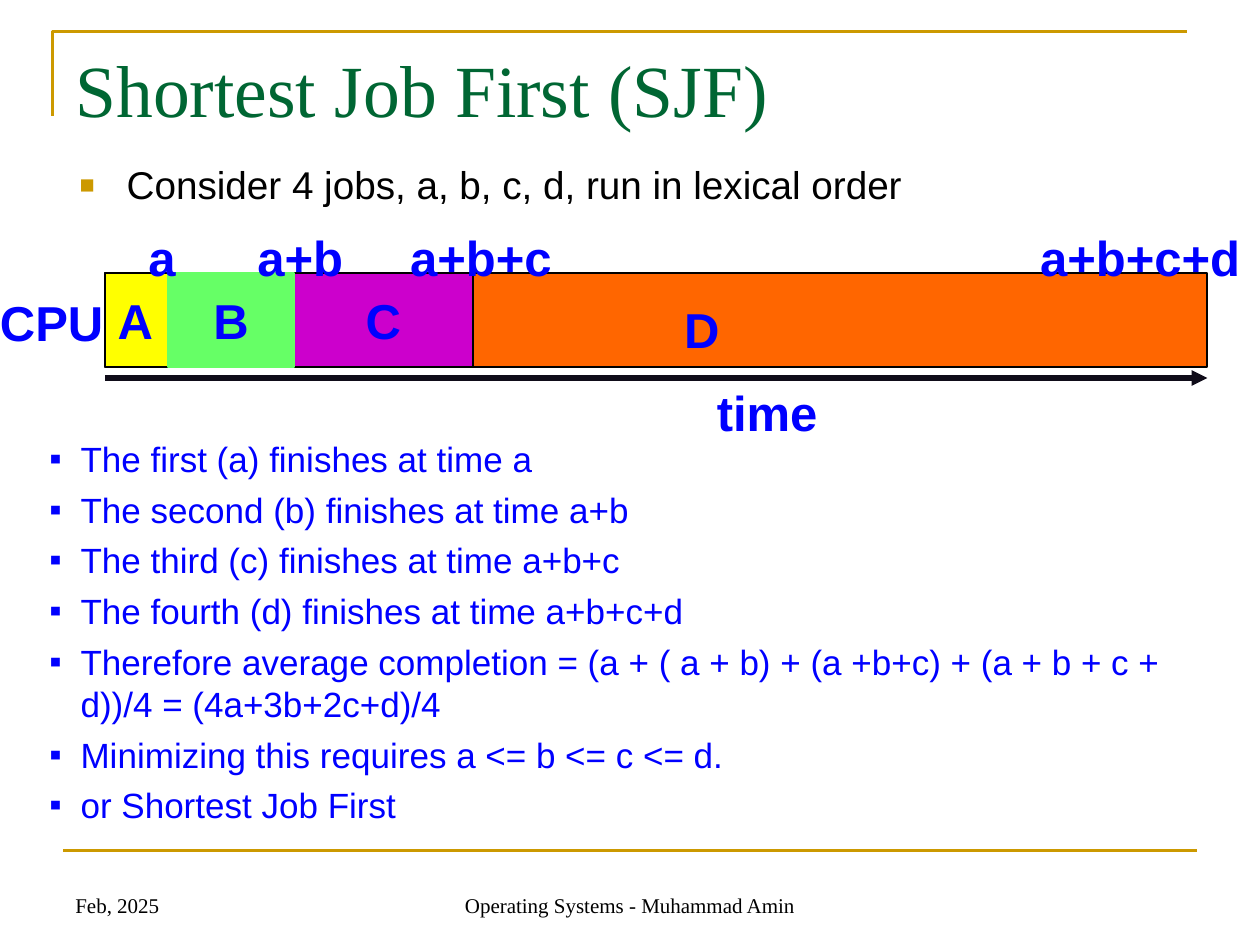
from dataclasses import dataclass

from lxml import etree
from pptx import Presentation
from pptx.dml.color import RGBColor
from pptx.enum.shapes import MSO_CONNECTOR, MSO_SHAPE
from pptx.enum.text import MSO_ANCHOR, MSO_AUTO_SIZE, PP_ALIGN
from pptx.oxml.ns import qn
from pptx.util import Cm, Pt

LEFT, CENTER = PP_ALIGN.LEFT, PP_ALIGN.CENTER
TOP, MIDDLE, BOTTOM = MSO_ANCHOR.TOP, MSO_ANCHOR.MIDDLE, MSO_ANCHOR.BOTTOM
NO_AUTOFIT = MSO_AUTO_SIZE.NONE
RECTANGLE = MSO_SHAPE.RECTANGLE
STRAIGHT = MSO_CONNECTOR.STRAIGHT

BLACK = RGBColor(0x00, 0x00, 0x00)
BLUE = RGBColor(0x00, 0x00, 0xFF)
DARK_GREEN = RGBColor(0x00, 0x66, 0x33)
GOLD = RGBColor(0xCC, 0x99, 0x00)
ORANGE = RGBColor(0xFF, 0x66, 0x00)
YELLOW = RGBColor(0xFF, 0xFF, 0x00)
PURPLE = RGBColor(0xCC, 0x00, 0xCC)
LIGHT_GREEN = RGBColor(0x66, 0xFF, 0x66)
INK = RGBColor(0x0F, 0x0C, 0x19)

SANS, SERIF = "Arial", "Times New Roman"
LABEL = {"size": 28, "color": BLUE, "bold": True}
FOOTER = {"size": 12, "font": SERIF, "anchor": BOTTOM}

BAR_LEFT, BAR_TOP, BAR_WIDTH, BAR_HEIGHT = 2.12, 5.5, 22.22, 1.9
AXIS_Y = 7.62


@dataclass
class Bullet:
    character: str
    color: RGBColor
    margin: float
    hanging: float
    percent: int = 100


@dataclass
class Job:
    left: float
    width: float
    fill: RGBColor
    line: RGBColor = BLACK
    name: str = ""
    align: PP_ALIGN = CENTER


@dataclass
class Label:
    text: str
    left: float
    top: float
    width: float
    height: float
    style: dict


JOBS = [
    Job(BAR_LEFT, BAR_WIDTH, ORANGE),
    Job(BAR_LEFT, 3.81, YELLOW, name="A", align=LEFT),
    Job(5.93, 3.6, PURPLE, name="C"),
    Job(3.39, 2.54, LIGHT_GREEN, LIGHT_GREEN, "B"),
]

LABELS = [
    Label("Feb, 2025", 1.27, 17.36, 5.93, 1.27, FOOTER),
    Label("Operating Systems - Muhammad Amin", 8.68, 17.36, 8.04, 1.27,
          {**FOOTER, "align": CENTER}),
    Label("CPU", -0.25, 5.77, 2.59, 1.45, {**LABEL, "wrap": False}),
    Label("time", 14.2, 7.59, 2.54, 1.45, {**LABEL, "wrap": False}),
    Label("D", 13.54, 5.92, 3.07, 1.45, LABEL),
    Label("a\ta+b\ta+b+c\ta+b+c+d", 2.74, 4.45, 24.18, 1.45,
          {**LABEL, "anchor": MIDDLE, "tabs": (2.2, 5.28, 17.98)}),
]

CONCLUSIONS = [
    "The first (a) finishes at time a",
    "The second (b) finishes at time a+b",
    "The third (c) finishes at time a+b+c",
    "The fourth (d) finishes at time a+b+c+d",
    "Therefore average completion = (a + ( a + b) + (a +b+c) + (a + b + c + d))/4"
    " = (4a+3b+2c+d)/4",
    "Minimizing this requires a <= b <= c <= d.",
    "or Shortest Job First",
]


def add_bullet(properties, bullet: Bullet) -> None:
    properties.set("marL", str(Cm(bullet.margin)))
    properties.set("indent", str(-Cm(bullet.hanging)))
    color = etree.SubElement(properties, qn("a:buClr"))
    etree.SubElement(color, qn("a:srgbClr"), val=str(bullet.color))
    etree.SubElement(properties, qn("a:buSzPct"), val=str(bullet.percent * 1000))
    etree.SubElement(properties, qn("a:buFont"), typeface=SANS)
    etree.SubElement(properties, qn("a:buChar"), char=bullet.character)


def write(shape, *lines: str, size: float, font: str = SANS, color: RGBColor = BLACK,
          bold: bool = False, align: PP_ALIGN = LEFT, anchor: MSO_ANCHOR = TOP,
          wrap: bool = True, level: int = 0, space_before: float = 0,
          bullet: Bullet | None = None, tabs: tuple = ()) -> None:
    frame = shape.text_frame
    frame.word_wrap = wrap
    frame.auto_size = NO_AUTOFIT
    frame.vertical_anchor = anchor
    for index, line in enumerate(lines):
        paragraph = frame.add_paragraph() if index else frame.paragraphs[0]
        paragraph.alignment = align
        paragraph.level = level
        paragraph.space_before = Pt(space_before)
        properties = paragraph._p.get_or_add_pPr()
        if bullet:
            add_bullet(properties, bullet)
        if tabs:
            stops = etree.SubElement(properties, qn("a:tabLst"))
            for position in tabs:
                etree.SubElement(stops, qn("a:tab"), pos=str(Cm(position)), algn="l")
        run = paragraph.add_run()
        run.text = line
        run.font.name = font
        run.font.size = Pt(size)
        run.font.bold = bold
        run.font.color.rgb = color


def place(shape, left: float, top: float, width: float, height: float) -> None:
    shape.left, shape.top = Cm(left), Cm(top)
    shape.width, shape.height = Cm(width), Cm(height)


def add_line(slide, left: float, right: float, y: float, color: RGBColor,
             weight: float, arrow: bool = False) -> None:
    line = slide.shapes.add_connector(STRAIGHT, Cm(left), Cm(y), Cm(right), Cm(y))
    line.line.color.rgb = color
    line.line.width = Pt(weight)
    if arrow:
        etree.SubElement(line.line._get_or_add_ln(), qn("a:tailEnd"), type="triangle")
    etree.SubElement(line._element.spPr, qn("a:effectLst"))


def add_corner(slide) -> None:
    """Draw the gold rule above and to the left of the title."""
    builder = slide.shapes.build_freeform(Cm(1.06), Cm(2.33))
    builder.add_line_segments([(Cm(1.06), Cm(0.64)), (Cm(23.92), Cm(0.64))], close=False)
    corner = builder.convert_to_shape()
    corner.shadow.inherit = False
    corner.fill.background()
    corner.line.color.rgb = GOLD
    corner.line.width = Pt(1.5)


def add_job(slide, job: Job) -> None:
    block = slide.shapes.add_shape(RECTANGLE, Cm(job.left), Cm(BAR_TOP),
                                   Cm(job.width), Cm(BAR_HEIGHT))
    block.shadow.inherit = False
    block.fill.solid()
    block.fill.fore_color.rgb = job.fill
    block.line.color.rgb = job.line
    block.line.width = Pt(1)
    if job.name:
        write(block, job.name, align=job.align, anchor=MIDDLE, **LABEL)


def add_label(slide, label: Label) -> None:
    box = slide.shapes.add_textbox(Cm(label.left), Cm(label.top),
                                   Cm(label.width), Cm(label.height))
    write(box, label.text, **label.style)


def main() -> None:
    presentation = Presentation()
    presentation.slide_width, presentation.slide_height = Cm(25.4), Cm(19.05)
    slide = presentation.slides.add_slide(
        presentation.slide_layouts.get_by_name("Two Content"))
    title, premise, conclusions = slide.placeholders

    add_corner(slide)
    add_line(slide, 1.27, 24.13, 17.15, GOLD, 1.5)

    place(title, 1.27, 0.76, 22.86, 3.18)
    write(title, "Shortest Job First (SJF)", size=42, font=SERIF, color=DARK_GREEN)
    place(premise, 1.35, 3.12, 20.96, 1.19)
    write(premise, "Consider 4 jobs, a, b, c, d, run in lexical order", size=22.1,
          space_before=6.5, bullet=Bullet("■", GOLD, 0.95, 0.95, 65))
    place(conclusions, 0.1, 8.69, 24.99, 8.1)
    write(conclusions, *CONCLUSIONS, size=20, color=BLUE, level=1, space_before=5,
          bullet=Bullet("▪", BLUE, 1.27, 0.63))

    for job in JOBS:
        add_job(slide, job)
    add_line(slide, BAR_LEFT, BAR_LEFT + BAR_WIDTH, AXIS_Y, INK, 3, arrow=True)
    for label in LABELS:
        add_label(slide, label)

    presentation.save("out.pptx")


if __name__ == "__main__":
    main()
